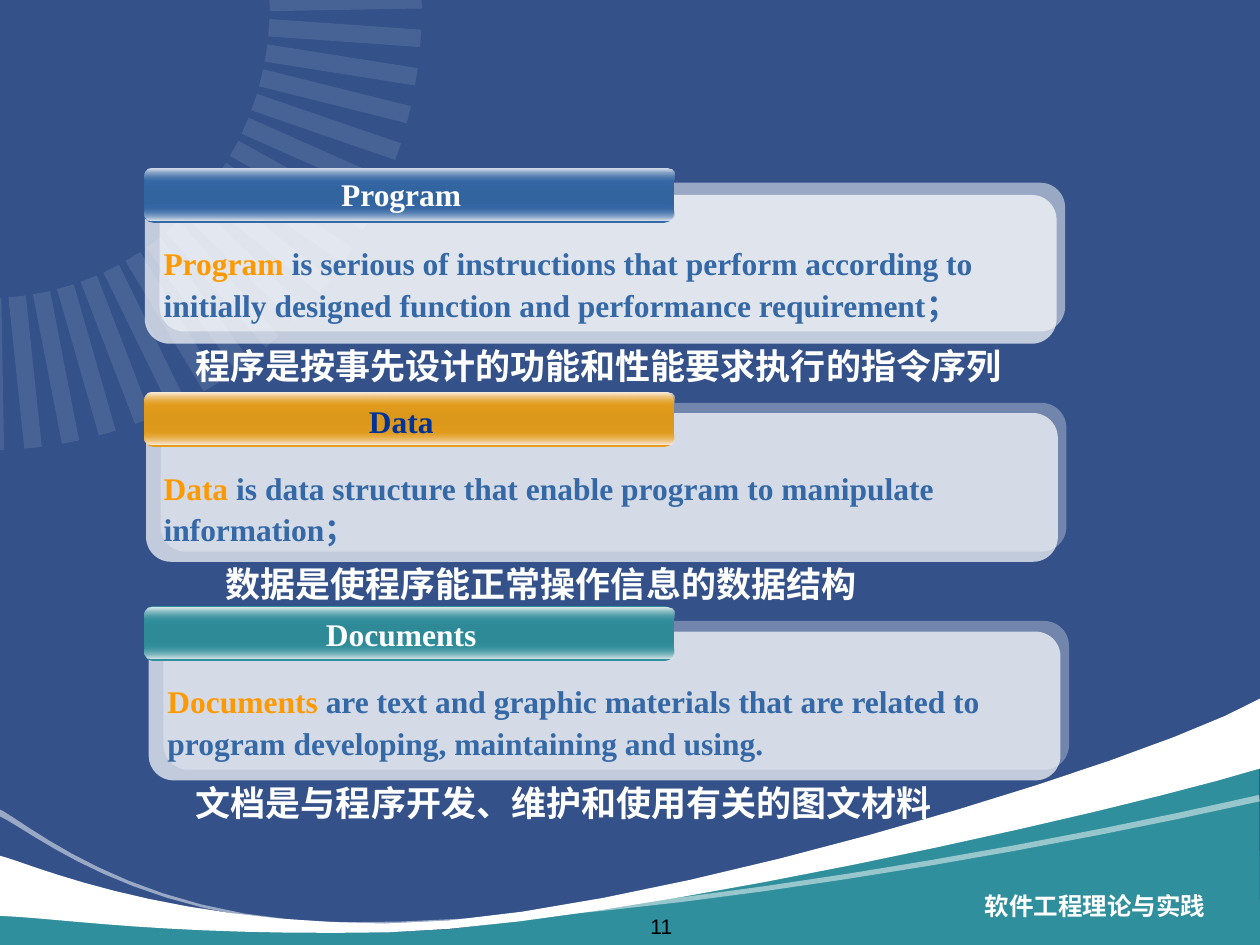
import math

import lxml.etree
import pptx
import pptx.dml.color
import pptx.enum.shapes
import pptx.enum.text
import pptx.oxml.ns
import pptx.util

Pt = pptx.util.Pt
qn = pptx.oxml.ns.qn
RGBColor = pptx.dml.color.RGBColor
ALIGN = pptx.enum.text.PP_ALIGN
ANCHOR = pptx.enum.text.MSO_ANCHOR
SHAPE = pptx.enum.shapes.MSO_SHAPE

COLORS = {
    "background": "34518A", "teal": "308F9C", "white": "FFFFFF", "gear": "F8F8F8",
    "blue": "3468A6", "keyword": "FF9900", "navy": "003399", "black": "000000",
}


def paint(shape, stops):
    """Fill with one (colour, opacity) pair, or a top-down gradient of several."""
    shape.shadow.inherit = False
    shape.line.fill.background()
    if len(stops) == 1:
        shape.fill.solid()
        shape.fill.fore_color.rgb = RGBColor.from_string(stops[0][0])
        parents = [shape.fill._xPr.find(qn("a:solidFill"))]
    else:
        shape.fill.gradient()
        shape.fill.gradient_angle = 270
        stop_list = shape.fill._xPr.find(qn("a:gradFill")).find(qn("a:gsLst"))
        for old_stop in list(stop_list):
            stop_list.remove(old_stop)
        parents = []
        for index, (color, _) in enumerate(stops):
            position = str(100000 * index // (len(stops) - 1))
            parent = lxml.etree.SubElement(stop_list, qn("a:gs"), pos=position)
            lxml.etree.SubElement(parent, qn("a:srgbClr"), val=color)
            parents.append(parent)
    for parent, (_, opacity) in zip(parents, stops):
        if opacity < 100:
            lxml.etree.SubElement(parent[0], qn("a:alpha"), val=str(opacity * 1000))


def add_text(left, top, width, height, runs, size, font="Times New Roman",
             bold=True, align=ALIGN.LEFT, anchor=ANCHOR.TOP, spacing=None):
    """Add a one-paragraph text box; runs are (text, colour) pairs."""
    box = slide.shapes.add_textbox(Pt(left), Pt(top), Pt(width), Pt(height))
    box.text_frame.word_wrap = True
    box.text_frame.vertical_anchor = anchor
    paragraph = box.text_frame.paragraphs[0]
    paragraph.alignment = align
    paragraph.line_spacing = spacing
    for text, color in runs:
        run = paragraph.add_run()
        run.text = text
        run.font.name = font
        run.font.size = Pt(size)
        run.font.bold = bold
        run.font.color.rgb = RGBColor.from_string(COLORS[color])


presentation = pptx.Presentation()
presentation.slide_width = Pt(720)
presentation.slide_height = Pt(540)
slide = presentation.slides.add_slide(presentation.slide_layouts[6])
slide.background.fill.solid()
slide.background.fill.fore_color.rgb = RGBColor.from_string(COLORS["background"])

# Waves: a pair is a straight segment, six numbers are a Bezier curve
waves = [
    ("teal", 100, [(-0.7, 540), (720, 542.2), (719.3, 403.2),
                   (656.6, 440.6, 351.4, 533.5, 219.6, 532.8),
                   (87.1, 532.1, 13.7, 496.8, -1.4, 493.2), (-1.4, 529.2)]),
    ("white", 100, [(0, 523.4), (36.7, 524.9, 95.8, 535, 221.8, 532.8),
                    (347, 529.9, 637.2, 464.4, 720, 439.2), (720.7, 398.9),
                    (657.4, 435.6, 352.1, 528.5, 219.6, 527.8),
                    (87.8, 527, 13.7, 491.8, -0.7, 488.9), (-0.7, 524.9)]),
    ("white", 50, [(-2.2, 461.5), (12.2, 466.6, 73.4, 525.6, 195.8, 527),
                   (318.2, 528.5, 543.6, 494.6, 719.3, 454.3), (720, 457.9),
                   (540, 498.2, 316.8, 531.4, 195.8, 528.5),
                   (75.6, 526.3, 17.3, 473.8, -1.4, 465.8)]),
]
CURVE_STEPS = 12
outlines = []
for color, opacity, segments in waves:
    points = [segments[0]]
    for segment in segments[1:]:
        if len(segment) == 2:
            points.append(segment)
            continue
        controls = [points[-1], segment[:2], segment[2:4], segment[4:]]
        for step in range(1, CURVE_STEPS + 1):
            t = step / CURVE_STEPS
            weights = [math.comb(3, i) * t**i * (1 - t)**(3 - i) for i in range(4)]
            points.append(tuple(sum(w * c[axis] for w, c in zip(weights, controls))
                                for axis in (0, 1)))
    outlines.append((color, opacity, points))

# Gear: bars every five degrees along an arc around the top left corner
CENTER_X, CENTER_Y, RADIUS_X, RADIUS_Y = -7, 4.3, 204.5, 209.5
HALF_LENGTH, HALF_WIDTH = 43.5, 5
for angle in range(-1, 90, 5):
    cosine, sine = math.cos(math.radians(angle)), math.sin(math.radians(angle))
    x, y = CENTER_X + RADIUS_X * cosine, CENTER_Y + RADIUS_Y * sine
    corners = [(x + along * HALF_LENGTH * cosine - across * HALF_WIDTH * sine,
                y + along * HALF_LENGTH * sine + across * HALF_WIDTH * cosine)
               for along, across in ((-1, -1), (1, -1), (1, 1), (-1, 1))]
    outlines.append(("gear", 10, corners))

# Draw waves and gear
for color, opacity, points in outlines:
    outline = [(Pt(x), Pt(y)) for x, y in points]
    builder = slide.shapes.build_freeform(*outline[0], scale=1.0)
    builder.add_line_segments(outline[1:], close=True)
    paint(builder.convert_to_shape(), [(COLORS[color], opacity)])

# Footer
add_text(468, 507.8, 228, 21.6, [("软件工程理论与实践", "white")], 14, "Arial",
         align=ALIGN.RIGHT, anchor=ANCHOR.BOTTOM)

# Cards: two translucent panels, a glossy tab, a definition and its translation
cards = [
    {"name": "Program", "name_color": "white", "name_top": 96.5, "tab_top": 95.8,
     "tab": ("3468A6", "3264A0", "E5E8EF", "E8EBF1"),
     "left": 82.8, "back_top": 104.4, "back_opacity": 50, "front_top": 111.4,
     "text": (86.4, 133.9),
     "definition": "is serious of instructions that perform according to "
                   "initially designed function and performance requirement；",
     "translation": "程序是按事先设计的功能和性能要求执行的指令序列",
     "translation_box": (104.4, 193.1, 496.8)},
    {"name": "Data", "name_color": "navy", "name_top": 226.1, "tab_top": 223.9,
     "tab": ("E49D1C", "DC981B", "FBF3ED", "FAF0E9"),
     "left": 83.5, "back_top": 230.2, "back_opacity": 30, "front_top": 236,
     "text": (86.4, 262.1),
     "definition": "is data structure that enable program to manipulate information；",
     "translation": "数据是使程序能正常操作信息的数据结构",
     "translation_box": (121.7, 317.7, 380.2)},
    {"name": "Documents", "name_color": "white", "name_top": 348, "tab_top": 346.3,
     "tab": ("308F9C", "2E8A97", "E9EFF0", "E1E9EB"),
     "left": 85, "back_top": 354.8, "back_opacity": 30, "front_top": 360.9,
     "text": (88.6, 384.1),
     "definition": "are text and graphic materials that are related to "
                   "program developing, maintaining and using.",
     "translation": "文档是与程序开发、维护和使用有关的图文材料",
     "translation_box": (104.8, 443, 442.1)},
]
for card in cards:
    base, middle, top_gloss, bottom_gloss = card["tab"]
    left, tab_top = card["left"], card["tab_top"]
    layers = [
        (left + 8.4, card["back_top"], 517.5, 85, 0.167,
         [(COLORS["white"], card["back_opacity"])]),
        (left, card["front_top"], 521, 85, 0.167, [(COLORS["white"], 70)]),
        (82.1, tab_top, 303.1, 31.5, 0.175, [(base, 100), (middle, 100), (base, 100)]),
        (82.8, tab_top + 22.3, 302.4, 7.9, 0.5, [(base, 0), (bottom_gloss, 100)]),
        (82.8, tab_top + 0.7, 302.4, 7.9, 0.5, [(top_gloss, 100), (base, 0)]),
    ]
    for x, y, width, height, rounding, stops in layers:
        layer = slide.shapes.add_shape(SHAPE.ROUNDED_RECTANGLE,
                                       Pt(x), Pt(y), Pt(width), Pt(height))
        layer.adjustments[0] = rounding
        paint(layer, stops)
    add_text(103.3, card["name_top"], 252, 28.8, [(card["name"], card["name_color"])],
             18, align=ALIGN.CENTER)
    add_text(*card["text"], 516.2, 54.7,
             [(card["name"] + " ", "keyword"), (card["definition"], "blue")],
             18, spacing=1.1)
    add_text(*card["translation_box"], 31, [(card["translation"], "white")], 20)

# Slide number
add_text(294, 518.4, 167.8, 21.6, [("11", "black")], 12, "Arial", bold=False,
         align=ALIGN.CENTER, anchor=ANCHOR.BOTTOM)

presentation.save("out.pptx")
